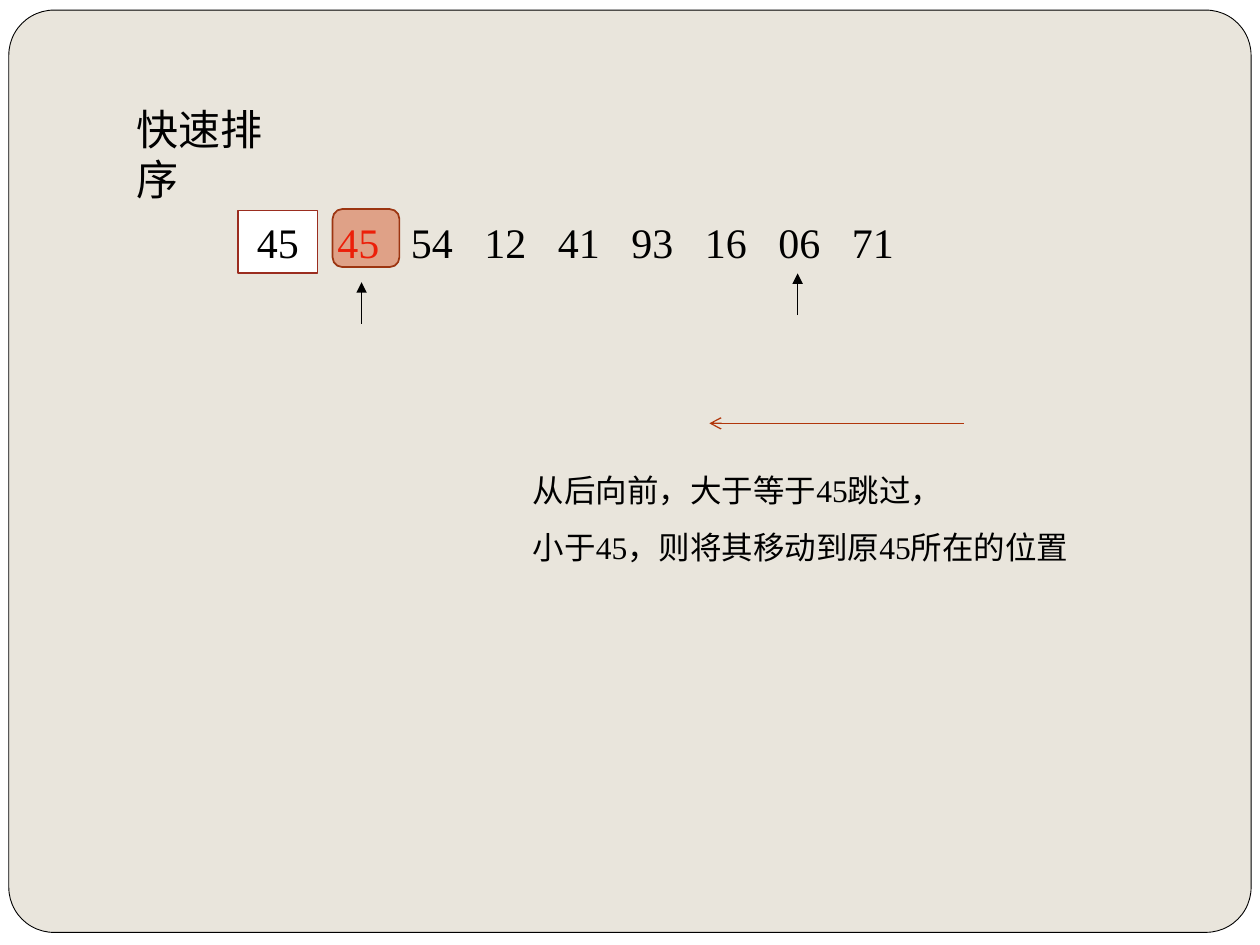
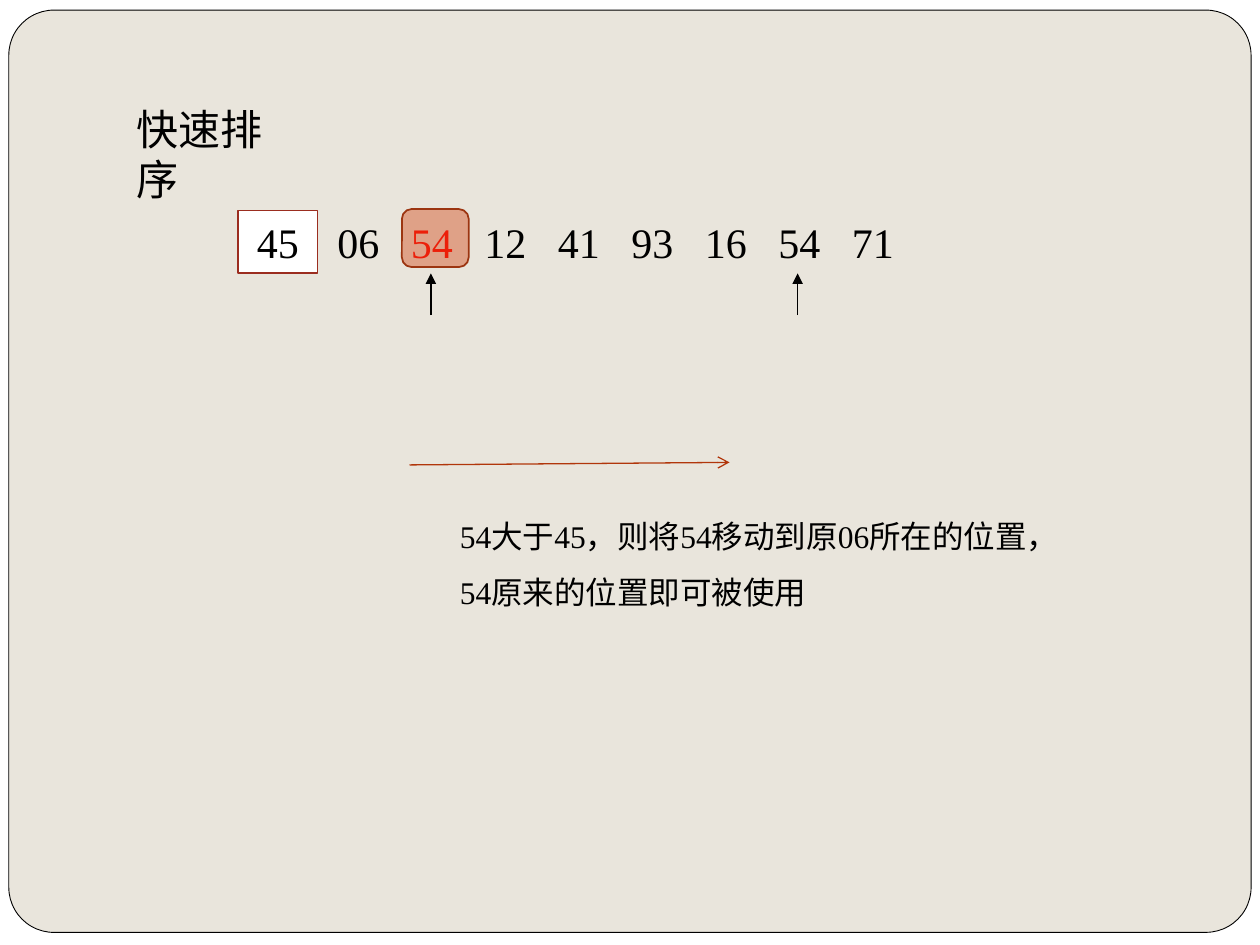
from lxml.etree import SubElement
from pptx import Presentation
from pptx.dml.color import RGBColor
from pptx.enum.shapes import MSO_CONNECTOR, MSO_SHAPE as SHAPE
from pptx.enum.text import MSO_ANCHOR as ANCHOR, MSO_AUTO_SIZE as FIT, PP_ALIGN as ALIGN
from pptx.oxml.ns import qn
from pptx.util import Inches, Pt

COLORS = {
    "paper": "E9E5DC", "white": "FFFFFF", "ink": "000000", "red": "FF0000",
    "box": "9B2D1F", "mark": "D34817", "mark_line": "9C3511", "arrow": "B1360B",
}
FONT = "Times New Roman"
COLS, ROWS = 100, 75
NUMBER_STEP = Pt(42)  # two digits and a gap at 24 pt


def color(name):
    return RGBColor.from_string(COLORS[name])


class Deck:
    """Shared style plus the current slide; lengths are grid columns and rows."""

    def __init__(self):
        self.prs = Presentation()
        self.prs.slide_width, self.prs.slide_height = Inches(10), Inches(7.5)
        self.layout = self.prs.slide_layouts[1]
        self.s = None

    def x(self, cols):
        return round(self.prs.slide_width * cols / COLS)

    def y(self, rows):
        return round(self.prs.slide_height * rows / ROWS)

    def area(self, left, top, width, height):
        return self.x(left), self.y(top), self.x(width), self.y(height)

    def new_slide(self):
        first = self.s is None
        self.s = self.prs.slides.add_slide(self.layout)
        if first:
            self.backdrop()

    def backdrop(self):
        """Put the page and its rounded panel on the layout, once."""
        bg = self.layout.background.fill
        bg.solid()
        bg.fore_color.rgb = color("paper")
        page = self.shape(SHAPE.RECTANGLE, (0, 0, COLS, ROWS), "white")
        panel = self.shape(SHAPE.ROUNDED_RECTANGLE, (0.7, 0.8, 98.6, 73.2), "paper", "ink", 0.5)
        panel.adjustments[0] = 0.049
        for i, sp in enumerate((page, panel), 2):
            self.layout.shapes.element.insert(i, sp.element)

    def run(self, p, text, size=24, ink="ink"):
        r = p.add_run()
        r.text = text
        r.font.name, r.font.size = FONT, Pt(size)
        r.font.color.rgb = color(ink)

    def frame(self, sp, area, wrap=True):
        sp.left, sp.top, sp.width, sp.height = self.area(*area)
        tf = sp.text_frame
        tf.word_wrap, tf.auto_size = wrap, FIT.NONE
        tf.vertical_anchor = ANCHOR.TOP
        return tf

    def title(self, text):
        p = self.frame(self.s.shapes.title, (9.8, 7.7, 15.3, 5), False).paragraphs[0]
        p.alignment = ALIGN.LEFT
        self.run(p, text)

    def body(self, area, lines):
        tf = self.frame(self.s.placeholders[1], area)
        for i, line in enumerate(lines):
            p = tf.add_paragraph() if i else tf.paragraphs[0]
            p.line_spacing, p.space_before = 1.5, Pt(0)
            pPr = p._p.get_or_add_pPr()
            pPr.set("marL", "0")
            pPr.set("indent", "0")
            SubElement(pPr, qn("a:buNone"))
            self.run(p, line, 18)

    def shape(self, kind, area, fill, line=None, width=1.0, alpha=None):
        sp = self.s.shapes.add_shape(kind, *self.area(*area))
        sp.shadow.inherit = False
        sp.fill.solid()
        sp.fill.fore_color.rgb = color(fill)
        if alpha:
            rgb = sp.element.find(".//" + qn("a:srgbClr"))
            SubElement(rgb, qn("a:alpha")).set("val", str(alpha * 1000))
        if line:
            sp.line.color.rgb = color(line)
            sp.line.width = Pt(width)
        else:
            sp.line.fill.background()
        return sp

    def arrow(self, start, end, ink="ink", head="triangle"):
        (x1, y1), (x2, y2) = start, end
        c = self.s.shapes.add_connector(
            MSO_CONNECTOR.STRAIGHT, self.x(x1), self.y(y1), self.x(x2), self.y(y2))
        c.line.color.rgb = color(ink)
        c.line.width = Pt(0.75)
        spPr = c.element.find(qn("p:spPr"))
        SubElement(spPr.find(qn("a:ln")), qn("a:tailEnd")).set("type", head)
        SubElement(spPr, qn("a:effectLst"))

    def numbers(self, values, current):
        """Row of numbers on equal tab stops, the current one in red."""
        area = (25.8, 16.7, 46.2, 5)
        tf = self.frame(self.s.shapes.add_textbox(*self.area(*area)), area)
        tf.margin_right = 0
        p = tf.paragraphs[0]
        tabs = SubElement(p._p.get_or_add_pPr(), qn("a:tabLst"))
        for i, value in enumerate(values):
            if i:
                tab = SubElement(tabs, qn("a:tab"))
                tab.set("pos", str(i * NUMBER_STEP))
                tab.set("algn", "l")
                self.run(p, "\t")
            self.run(p, value, ink="red" if i == current else "ink")

    def pivot(self, value):
        sp = self.shape(SHAPE.RECTANGLE, (18.9, 16.7, 6.3, 5), "white", "box")
        tf = sp.text_frame
        tf.vertical_anchor = ANCHOR.MIDDLE
        tf.paragraphs[0].alignment = ALIGN.CENTER
        self.run(tf.paragraphs[0], value)

    def pointer(self, x, top=21.7):
        self.arrow((x, top + 3.3), (x, top))

    def highlight(self, center):
        self.shape(SHAPE.ROUNDED_RECTANGLE, (center - 2.3, 16.6, 5.3, 4.6),
                   "mark", "mark_line", alpha=43)


STEPS = [
    {
        "values": "45 54 12 41 93 16 06 71", "current": 0, "low": (28.7, 22.4),
        "scan": ((76.5, 33.6), (56.3, 33.6)), "note": (41.3, 35.4, 48.2, 10.1),
        "lines": ["从后向前，大于等于45跳过，", "小于45，则将其移动到原45所在的位置"],
    },
    {
        "values": "06 54 12 41 93 16 54 71", "current": 1, "low": (34.2, 21.7),
        "scan": ((32.5, 36.9), (57.9, 36.7)), "note": (35.5, 39, 52.7, 10.1),
        "lines": ["54大于45，则将54移动到原06所在的位置，", "54原来的位置即可被使用"],
    },
]


def main():
    deck = Deck()
    for step in STEPS:
        deck.new_slide()
        deck.title("快速排序")
        # Array with pivot, low and high pointers
        deck.numbers(step["values"].split(), step["current"])
        deck.pointer(63.3)
        deck.pointer(*step["low"])
        deck.pivot("45")
        deck.highlight(step["low"][0])
        # Scan direction and explanation
        deck.arrow(*step["scan"], ink="arrow", head="arrow")
        deck.body(step["note"], step["lines"])
    deck.prs.save("out.pptx")


if __name__ == "__main__":
    main()
